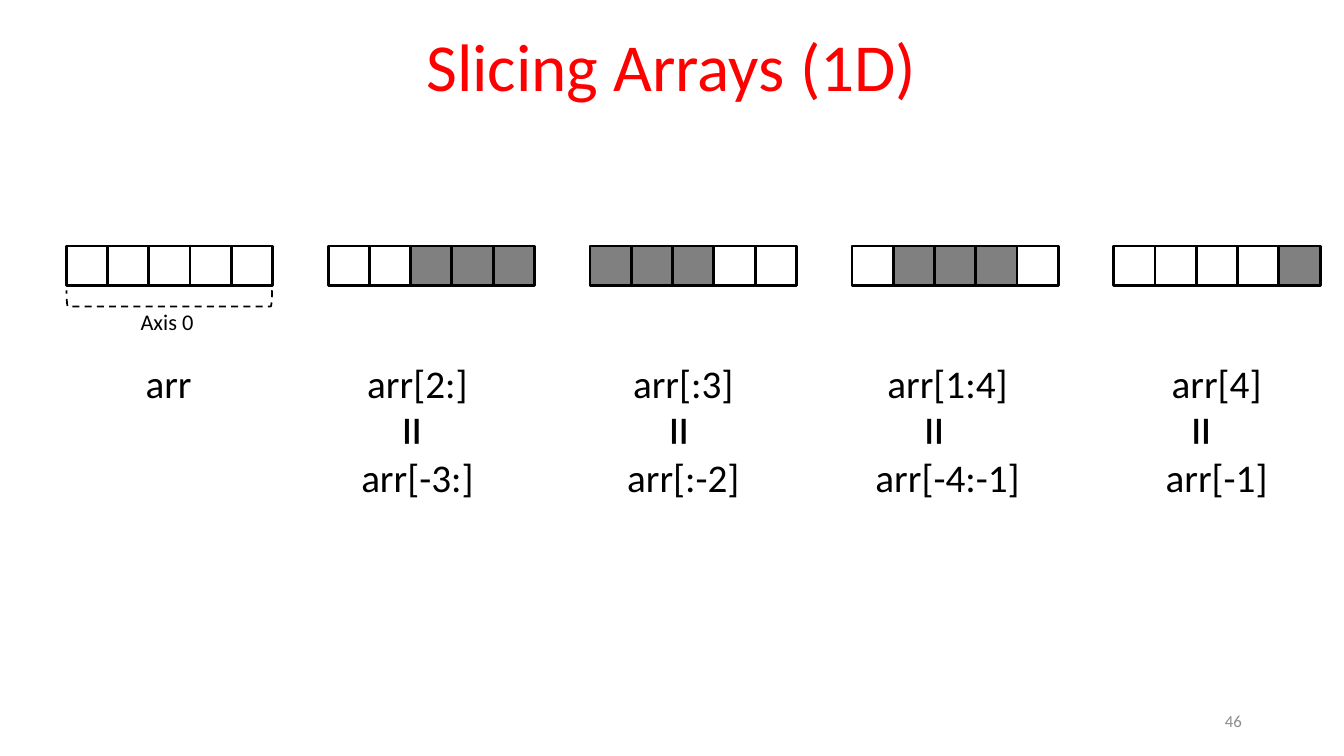
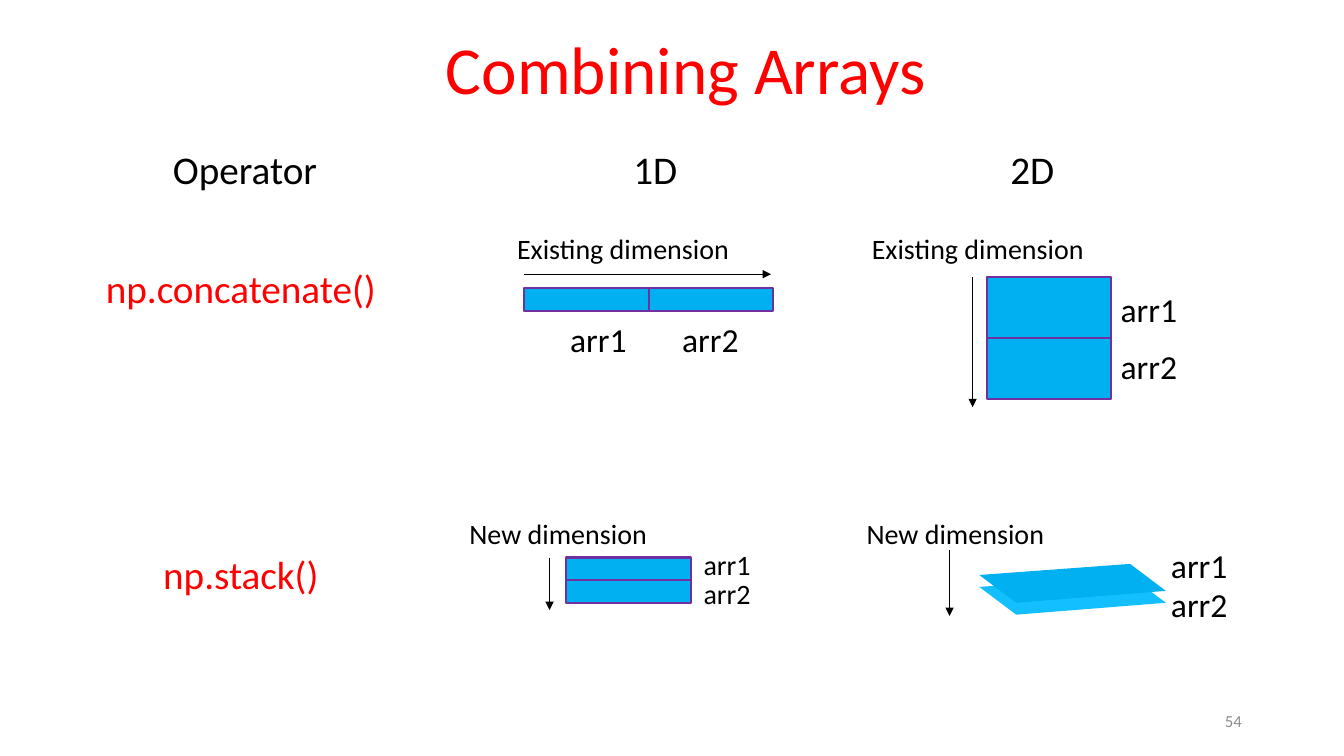
from lxml.etree import SubElement
from pptx import Presentation
from pptx.dml.color import RGBColor
from pptx.enum.dml import MSO_LINE
from pptx.enum.shapes import MSO_CONNECTOR, MSO_SHAPE
from pptx.enum.text import MSO_ANCHOR, PP_ALIGN
from pptx.oxml.ns import qn
from pptx.util import Cm, Pt

RED = RGBColor(0xFF, 0x00, 0x00)
BLACK = RGBColor(0x00, 0x00, 0x00)
GRAY = RGBColor(0x80, 0x80, 0x80)
PALE = RGBColor(0x8C, 0x8C, 0x8C)
BLUE = RGBColor(0x00, 0xB0, 0xF0)
LIGHT = RGBColor(0x13, 0xBF, 0xFF)
PURPLE = RGBColor(0x70, 0x30, 0xA0)
FONT = "Calibri"
LEFT, MID, RIGHT = PP_ALIGN.LEFT, PP_ALIGN.CENTER, PP_ALIGN.RIGHT


class Deck:
    """Shared style and the current slide; all lengths are in centimetres."""

    def __init__(self):
        self.prs = Presentation()
        self.prs.slide_width, self.prs.slide_height = Cm(33.87), Cm(19.05)
        self.slide = None

    def start(self, title, number, x, y, w, h):
        """Add a slide with its title box and page number."""
        self.slide = self.prs.slides.add_slide(self.prs.slide_layouts[6])
        self.text(title, x, y, w, h, 48, RED, MID, MSO_ANCHOR.BOTTOM, 0.9)
        self.text(str(number), 23.93, 17.65, 7.62, 1.02, 12, PALE, RIGHT,
                  MSO_ANCHOR.MIDDLE)

    def text(self, words, x, y, w, h, size, color=BLACK, align=LEFT,
             anchor=MSO_ANCHOR.TOP, lines=1.0, gap=0):
        """Add a text box; gap is the space in points between paragraphs."""
        box = self.slide.shapes.add_textbox(Cm(x), Cm(y), Cm(w), Cm(h))
        frame = box.text_frame
        frame.text = words
        frame.word_wrap = True
        frame.vertical_anchor = anchor
        for i, para in enumerate(frame.paragraphs):
            para.alignment = align
            para.line_spacing = lines
            if i:
                para.space_before = Pt(gap)
            font = para.runs[0].font
            font.name, font.size = FONT, Pt(size)
            font.color.rgb = color
        return box

    def label(self, words, x, y, w, size):
        self.text(words, x, y, w, 1.45, size, anchor=MSO_ANCHOR.BOTTOM,
                  lines=0.9)

    def shape(self, kind, x, y, w, h, fill, line, width):
        item = self.slide.shapes.add_shape(kind, Cm(x), Cm(y), Cm(w), Cm(h))
        item.shadow.inherit = False
        if fill is None:
            item.fill.background()
        else:
            item.fill.solid()
            item.fill.fore_color.rgb = fill
        item.line.color.rgb = line
        item.line.width = Pt(width)
        return item

    def cells(self, x, y, shaded):
        """Draw a row of five cells, gray where the index is shaded."""
        for i in range(5):
            fill = GRAY if i in shaded else None
            self.shape(MSO_SHAPE.RECTANGLE, x + i * 1.04, y, 1.04, 1,
                       fill, BLACK, 2)

    def pair(self, x, y, h, across=False):
        """Draw two touching blocks, side by side or one above the other."""
        w = 3.14
        for i in range(2):
            dx, dy = (i * w, 0) if across else (0, i * h)
            self.shape(MSO_SHAPE.RECTANGLE, x + dx, y + dy, w, h,
                       BLUE, PURPLE, 1.5)

    def arrow(self, x1, y1, x2, y2):
        line = self.slide.shapes.add_connector(
            MSO_CONNECTOR.STRAIGHT, Cm(x1), Cm(y1), Cm(x2), Cm(y2))
        line.line.color.rgb = BLACK
        line.line.width = Pt(1)
        props = line._element.spPr
        SubElement(props.find(qn("a:ln")), qn("a:tailEnd"), type="triangle")
        SubElement(props, qn("a:effectLst"))

    def sheet(self, x, y, fill):
        """Draw a flat sheet seen at a slant."""
        corners = [(0, 0.28), (3.8, 0), (4.7, 0.68), (0.93, 0.98)]
        points = [(Cm(x + dx), Cm(y + dy)) for dx, dy in corners]
        path = self.slide.shapes.build_freeform(*points[0], scale=1.0)
        path.add_line_segments(points[1:], close=True)
        item = path.convert_to_shape()
        item.shadow.inherit = False
        item.fill.solid()
        item.fill.fore_color.rgb = fill
        item.line.fill.background()


def slicing(deck):
    deck.start("Slicing Arrays (1D)", 46, 0.25, 0.13, 33.35, 2.67)
    top, left, step = 6.2, 1.67, 6.6
    # shaded cells, label, label centre, centre of the equals sign
    slices = [
        ((), "arr", 4.25, None),
        ((2, 3, 4), "arr[2:]\narr[-3:]", 10.52, 10.5),
        ((0, 1, 2), "arr[:3]\narr[:-2]", 17.22, 17.23),
        ((1, 2, 3), "arr[1:4]\narr[-4:-1]", 23.88, 23.66),
        ((4,), "arr[4]\narr[-1]", 30.66, 30.39),
    ]
    for i, (shaded, words, mid, sign) in enumerate(slices):
        deck.cells(left + i * step, top, shaded)
        deck.text(words, mid - 2.15, 8.92, 4.3, 3.84, 28, align=MID, gap=34)
        if sign:
            box = deck.text("=", sign - 0.67, 9.86, 1.34, 2.13, 44)
            box.rotation = 90
    deck.text("Axis 0", 2.98, 7.65, 2.46, 0.94, 16, align=MID)
    brace = deck.shape(MSO_SHAPE.RIGHT_BRACKET, 4.06, 4.93, 0.41, 5.18,
                       None, BLACK, 1.25)
    brace.rotation = 90
    brace.line.dash_style = MSO_LINE.DASH


def combining(deck):
    deck.start("Combining Arrays", 54, 1.5, 0.1, 31.57, 2.77)
    for words, x, align in [("Operator", 4.11, LEFT), ("1D", 14.43, MID),
                            ("2D", 23.93, MID)]:
        deck.text(words, x, 3.53, 4.17, 1.45, 28, align=align)
    for words, y in [("np.concatenate()", 6.54), ("np.stack()", 13.75)]:
        deck.text(words, 1.75, y, 8.64, 1.45, 28, RED, MID)

    deck.pair(13.21, 7.26, 0.57, across=True)
    deck.pair(24.87, 6.98, 1.54)
    deck.pair(14.27, 14.05, 0.57)
    deck.sheet(24.68, 14.51, LIGHT)
    deck.sheet(24.68, 14.21, BLUE)

    for ends in [(13.21, 6.91, 19.43, 6.91), (24.51, 6.98, 24.51, 10.26),
                 (13.85, 14.05, 13.85, 15.37), (23.93, 13.87, 23.93, 15.52)]:
        deck.arrow(*ends)

    for words, x, y, w in [("Existing dimension", 12.78, 5.36, 7.14),
                           ("Existing dimension", 21.72, 5.36, 7.14),
                           ("New dimension", 11.58, 12.55, 5.21),
                           ("New dimension", 21.59, 12.55, 5.21)]:
        deck.label(words, x, y, w, 20)

    # first label's corner, offset to the second, text size
    for x, y, dx, dy, size in [(14.12, 7.75, 2.82, 0, 24),
                               (27.99, 6.98, 0, 1.45, 24),
                               (17.48, 13.33, 0, 0.72, 20),
                               (29.26, 13.44, 0, 0.99, 24)]:
        deck.label("arr1", x, y, 2.24, size)
        deck.label("arr2", x + dx, y + dy, 2.24, size)


def main():
    deck = Deck()
    slicing(deck)
    combining(deck)
    deck.prs.save("out.pptx")


if __name__ == "__main__":
    main()
